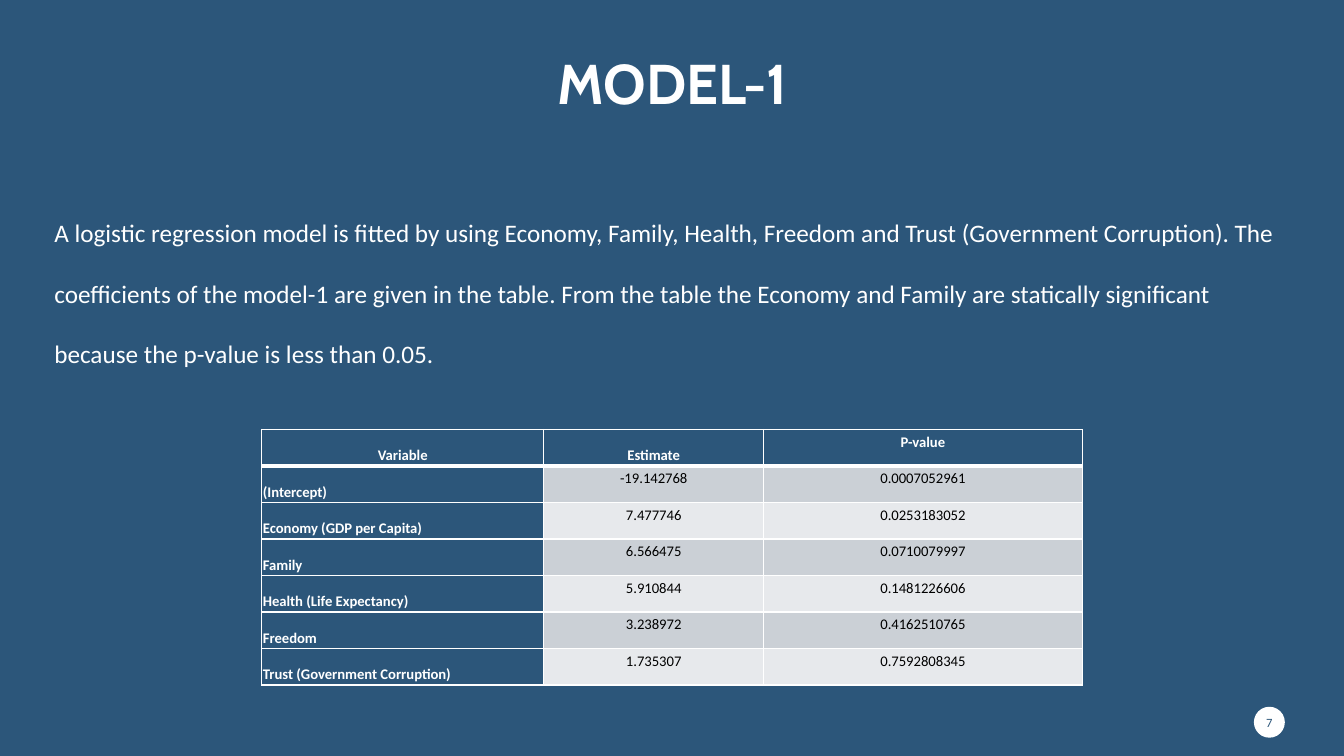
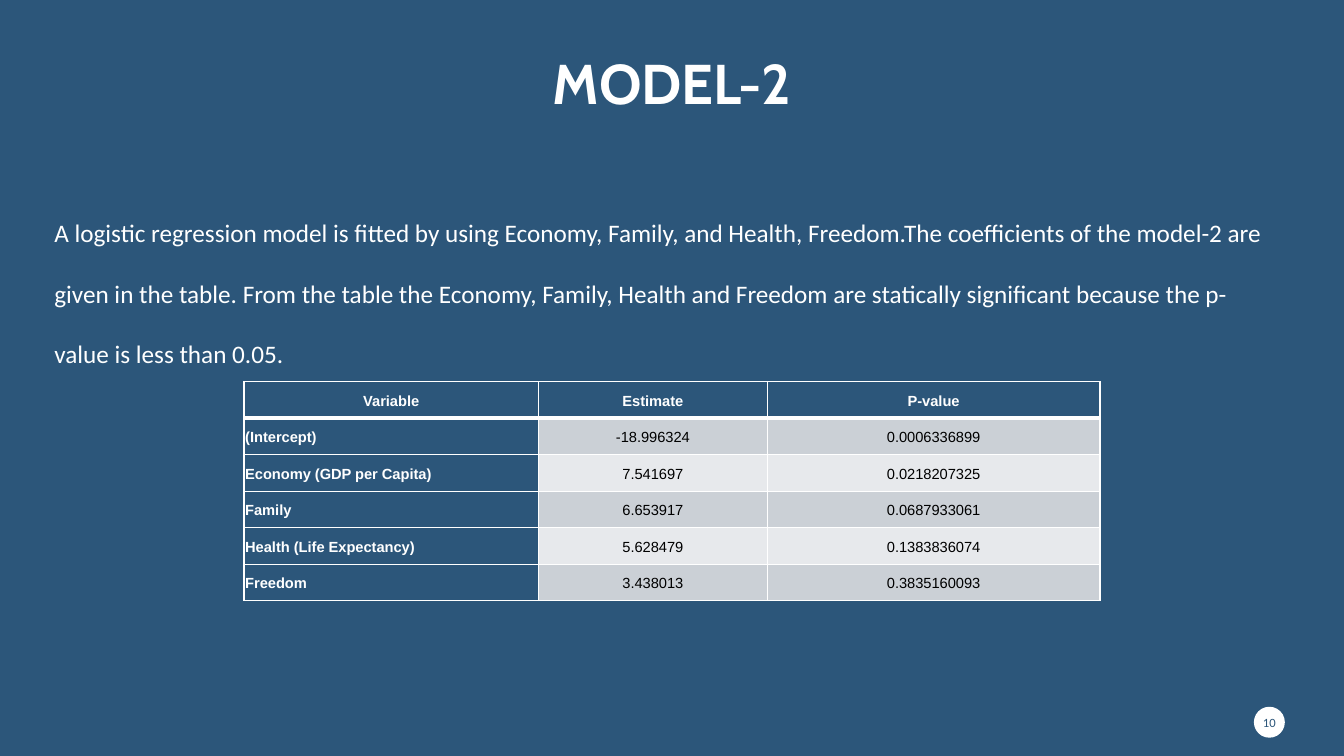
from lxml.etree import SubElement
from pptx import Presentation
from pptx.dml.color import RGBColor
from pptx.enum.shapes import MSO_SHAPE
from pptx.enum.text import MSO_ANCHOR as ANCHOR, PP_ALIGN as ALIGN
from pptx.oxml.ns import qn
from pptx.util import Cm, Pt

COLORS = {
    "blue": "2C567A",
    "white": "FFFFFF",
    "black": "000000",
    "band_dark": "CBD0D6",
    "band_light": "E7E9EC",
}
ROW_HEIGHT = 0.92
CELL_MARGIN = Cm(0.03)
HEADERS = ("Variable", "Estimate", "P-value")

MODELS = [
    {
        "title": "MODEL-1",
        "number": "7",
        "body": "A logistic regression model is fitted by using Economy, Family, Health, "
                "Freedom and Trust (Government Corruption). The coefficients of the model-1 "
                "are given in the table. From the table the Economy and Family are statically "
                "significant because the p-value is less than 0.05.",
        "body_height": 5.66,
        "table_top": 10.82,
        "col_widths": (7.11, 5.54, 8.03),
        "font": "Calibri",
        "label_anchor": ANCHOR.BOTTOM,
        "value_anchor": ANCHOR.TOP,
        "rows": [
            ("(Intercept)", "-19.142768", "0.0007052961"),
            ("Economy (GDP per Capita)", "7.477746", "0.0253183052"),
            ("Family", "6.566475", "0.0710079997"),
            ("Health (Life Expectancy)", "5.910844", "0.1481226606"),
            ("Freedom", "3.238972", "0.4162510765"),
            ("Trust (Government Corruption)", "1.735307", "0.7592808345"),
        ],
    },
    {
        "title": "MODEL-2",
        "number": "10",
        "body": "A logistic regression model is fitted by using Economy, Family, and Health, "
                "Freedom.The coefficients of the model-2 are given in the table. From the "
                "table the Economy, Family, Health and Freedom are statically significant "
                "because the p-value is less than 0.05.",
        "body_height": 4.01,
        "table_top": 9.62,
        "col_widths": (7.42, 5.77, 8.38),
        "font": "Arial",
        "label_anchor": ANCHOR.MIDDLE,
        "value_anchor": ANCHOR.MIDDLE,
        "rows": [
            ("(Intercept)", "-18.996324", "0.0006336899"),
            ("Economy (GDP per Capita)", "7.541697", "0.0218207325"),
            ("Family", "6.653917", "0.0687933061"),
            ("Health (Life Expectancy)", "5.628479", "0.1383836074"),
            ("Freedom", "3.438013", "0.3835160093"),
        ],
    },
]


def write(tf, text, font, size, color, bold=False, align=ALIGN.LEFT, spacing=1.0):
    """Fill a text frame with one formatted paragraph."""
    tf.text = text
    p = tf.paragraphs[0]
    p.alignment = align
    p.line_spacing = spacing
    f = p.runs[0].font
    f.name, f.size, f.bold = font, Pt(size), bold
    f.color.rgb = RGBColor.from_string(COLORS[color])


def set_borders(cell, top, bottom):
    """Draw white borders, 1 pt at the sides; call before filling the cell."""
    tc_pr = cell._tc.get_or_add_tcPr()
    for side, width in (("L", 1), ("R", 1), ("T", top), ("B", bottom)):
        ln = SubElement(tc_pr, qn(f"a:ln{side}"), w=str(Pt(width)))
        fill = SubElement(ln, qn("a:solidFill"))
        SubElement(fill, qn("a:srgbClr"), val=COLORS["white"])


prs = Presentation()
prs.slide_width, prs.slide_height = Cm(33.87), Cm(19.05)
background = prs.slide_master.background.fill
background.solid()
background.fore_color.rgb = RGBColor.from_string(COLORS["blue"])

for model in MODELS:
    s = prs.slides.add_slide(prs.slide_layouts[6])

    tf = s.shapes.add_textbox(Cm(3.18), Cm(1.24), Cm(27.51), Cm(1.83)).text_frame
    tf.word_wrap = True
    tf.vertical_anchor = ANCHOR.BOTTOM
    write(tf, model["title"], "Cabin", 40, "white", True, ALIGN.CENTER, 0.9)

    tf = s.shapes.add_textbox(Cm(1.12), Cm(4.6), Cm(31.24), Cm(model["body_height"])).text_frame
    tf.word_wrap = True
    write(tf, model["body"], "Calibri", 18, "white", spacing=2.0)

    badge = s.shapes.add_shape(MSO_SHAPE.OVAL, Cm(31.6), Cm(17.81), Cm(0.78), Cm(0.78))
    badge.shadow.inherit = False
    badge.fill.solid()
    badge.fill.fore_color.rgb = RGBColor.from_string(COLORS["white"])
    badge.line.fill.background()
    tf = badge.text_frame
    tf.word_wrap = False
    tf.vertical_anchor = ANCHOR.MIDDLE
    tf.margin_left = tf.margin_right = tf.margin_top = tf.margin_bottom = 0
    write(tf, model["number"], "Calibri", 9, "blue", align=ALIGN.CENTER)

    rows = [HEADERS, *model["rows"]]
    width = Cm(sum(model["col_widths"]))
    table = s.shapes.add_table(
        len(rows), len(HEADERS), (prs.slide_width - width) // 2, Cm(model["table_top"]),
        width, Cm(ROW_HEIGHT * len(rows))).table
    for column, col_width in zip(table.columns, model["col_widths"]):
        column.width = Cm(col_width)

    for i, row in enumerate(rows):
        table.rows[i].height = Cm(ROW_HEIGHT)
        for j, text in enumerate(row):
            is_header, is_label = i == 0, j == 0
            strong = is_header or is_label
            at_label_height = is_label or (is_header and j == 1)
            cell = table.cell(i, j)
            cell.margin_left = cell.margin_right = CELL_MARGIN
            cell.margin_top = cell.margin_bottom = CELL_MARGIN
            cell.vertical_anchor = model["label_anchor" if at_label_height else "value_anchor"]
            set_borders(cell, top=3 if i == 1 else 1, bottom=3 if is_header else 1)
            band = "band_dark" if i % 2 else "band_light"
            cell.fill.solid()
            cell.fill.fore_color.rgb = RGBColor.from_string(COLORS["blue" if strong else band])
            write(cell.text_frame, text, model["font"], 10.5,
                  "white" if strong else "black", strong,
                  ALIGN.LEFT if is_label and not is_header else ALIGN.CENTER, 1.15)

prs.save("out.pptx")
